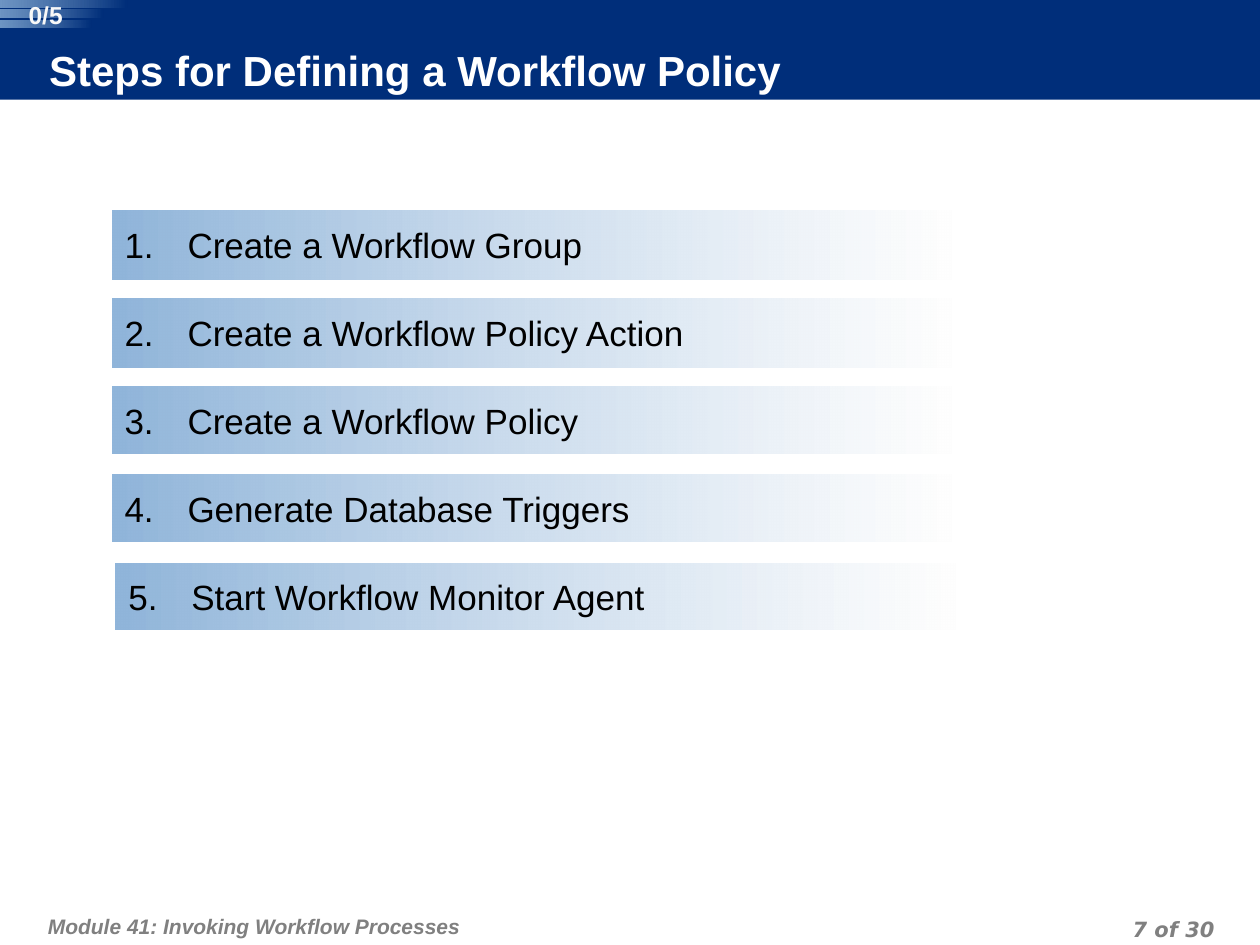
from lxml.etree import SubElement
from pptx import Presentation
from pptx.dml.color import RGBColor
from pptx.enum.shapes import MSO_SHAPE
from pptx.enum.text import MSO_ANCHOR, MSO_AUTO_SIZE, PP_ALIGN
from pptx.oxml.ns import qn
from pptx.util import Inches, Pt

COLORS = {
    "navy": "002E7A",
    "sky": "90B5DA",
    "mist": "FEFEFE",
    "white": "FFFFFF",
    "counter": "F8F8F8",
    "gray": "808080",
    "black": "000000",
}
SLIDE_WIDTH, SLIDE_HEIGHT = Inches(10), Inches(7.5)
COLUMNS, ROWS = 100, 75  # square grid cells
CELL = SLIDE_WIDTH / COLUMNS

STEPS = [
    "Create a Workflow Group",
    "Create a Workflow Policy Action",
    "Create a Workflow Policy",
    "Generate Database Triggers",
    "Start Workflow Monitor Agent",
]


def color(name):
    return RGBColor.from_string(COLORS[name])


def grid(*cells):
    """Turn grid cells into slide lengths."""
    return [round(cell * CELL) for cell in cells]


def add_bar(shapes, box, kind=MSO_SHAPE.RECTANGLE):
    shape = shapes.add_shape(kind, *grid(*box))
    shape.shadow.inherit = False
    shape.line.fill.background()
    return shape


def add_gradient_bar(shapes, box, stops):
    """Add a square-cornered bar; each stop is (color name, opacity percent)."""
    shape = add_bar(shapes, box, MSO_SHAPE.ROUNDED_RECTANGLE)
    shape.adjustments[0] = 0
    shape.fill.gradient()
    shape.fill.gradient_angle = 180
    for stop, position, (name, opacity) in zip(shape.fill.gradient_stops, (0, 1), stops):
        stop.position = position
        stop.color.rgb = color(name)
        if opacity < 100:
            rgb_element = next(shape._element.spPr.iter(qn("a:gsLst")))[position][0]
            SubElement(rgb_element, qn("a:alpha"), val=str(opacity * 1000))
    return shape


def format_frame(frame, margins, anchor=MSO_ANCHOR.TOP):
    frame.word_wrap = True
    frame.auto_size = MSO_AUTO_SIZE.NONE
    frame.vertical_anchor = anchor
    (frame.margin_left, frame.margin_top,
     frame.margin_right, frame.margin_bottom) = grid(*margins)


def write(frame, text, size, name, font="Arial", bold=False, italic=False,
          align=PP_ALIGN.LEFT):
    paragraph = frame.paragraphs[0]
    paragraph.alignment = align
    run = paragraph.add_run()
    run.text = text
    run.font.name = font
    run.font.size = Pt(size)
    run.font.bold = bold
    run.font.italic = italic
    run.font.color.rgb = color(name)
    return paragraph


def number_paragraph(paragraph, number):
    properties = paragraph._p.get_or_add_pPr()
    properties.set("marL", str(Inches(0.5)))
    properties.set("indent", str(-Inches(0.5)))
    bullet_color = SubElement(properties, qn("a:buClr"))
    SubElement(bullet_color, qn("a:srgbClr"), val=COLORS["black"])
    SubElement(properties, qn("a:buAutoNum"), type="arabicPeriod", startAt=str(number))


def add_header(slide, box):
    left, top, width, height = box
    band = add_bar(slide.shapes, box)
    band.fill.solid()
    band.fill.fore_color.rgb = color("navy")

    # Title in the lower half of the band, in front of it
    title = slide.shapes.title
    slide.shapes._spTree.append(title._element)
    title.left, title.top, title.width, title.height = grid(
        left + 3.9, top + height - 4.1, width - 8.3, 4)
    title.fill.solid()
    title.fill.fore_color.rgb = color("navy")
    format_frame(title.text_frame, (0, 0, 0.5, 0.5), MSO_ANCHOR.MIDDLE)
    write(title.text_frame, "Steps for Defining a Workflow Policy", 24, "white", bold=True)


def add_steps(slide, box, pitch):
    left, top, width, height = box
    for index, step in enumerate(STEPS):
        extra = 0.2 if index < 2 else 0  # the first two bars are taller
        shift = 0.3 if index == len(STEPS) - 1 else 0  # the last bar sits further right
        bar = add_gradient_bar(
            slide.shapes,
            (left + shift, top + index * pitch, width, height + extra),
            [("mist", 75), ("sky", 100)])
        format_frame(bar.text_frame, (1, 1, 1, 0.5))
        paragraph = write(bar.text_frame, step, 20, "black")
        number_paragraph(paragraph, index + 1)


def add_counter(slide, box):
    left, top, width, height = box
    group = slide.shapes.add_group_shape()
    # Three stripes, shorter towards the bottom
    for index, share in enumerate((1, 0.81, 0.72)):
        add_gradient_bar(group.shapes, (left, top + index * 0.8, width * share, 0.6),
                         [("navy", 100), ("sky", 76)])
    label = group.shapes.add_textbox(*grid(left + 1.1, top, width / 2, height))
    format_frame(label.text_frame, (0, 0, 0, 0))
    write(label.text_frame, "0/5", 14, "counter", bold=True, align=PP_ALIGN.CENTER)


def add_footer(slide, box):
    left, top, width, height = box
    right = left + width
    parts = [
        ("Module 41: Invoking Workflow Processes", "Arial", PP_ALIGN.LEFT,
         (left, top, 61.8, height), (0.5, 1, 0.5, 0.5)),
        ("7 of 30", "DejaVu Sans", PP_ALIGN.RIGHT,
         (right - 23.3, top + 1.2, 23.3, 2.5), (0.5, 0, 0.5, 0)),
    ]
    for text, font, align, part_box, margins in parts:
        text_box = slide.shapes.add_textbox(*grid(*part_box))
        format_frame(text_box.text_frame, margins)
        paragraph = write(text_box.text_frame, text, 12, "gray", font,
                          bold=True, italic=True, align=align)
        paragraph.line_spacing = Pt(18)


def main():
    presentation = Presentation()
    presentation.slide_width, presentation.slide_height = SLIDE_WIDTH, SLIDE_HEIGHT
    slide = presentation.slides.add_slide(presentation.slide_layouts[5])  # title only
    slide.background.fill.solid()
    slide.background.fill.fore_color.rgb = color("white")

    add_header(slide, (0, 0, COLUMNS, 7.9))
    add_footer(slide, (3.3, ROWS - 4, 93.6, 4))
    add_steps(slide, (8.9, 16.7, 66.6, 5.3), pitch=7)
    add_counter(slide, (0, 0, 10.1, 2.3))
    presentation.save("out.pptx")


if __name__ == "__main__":
    main()
